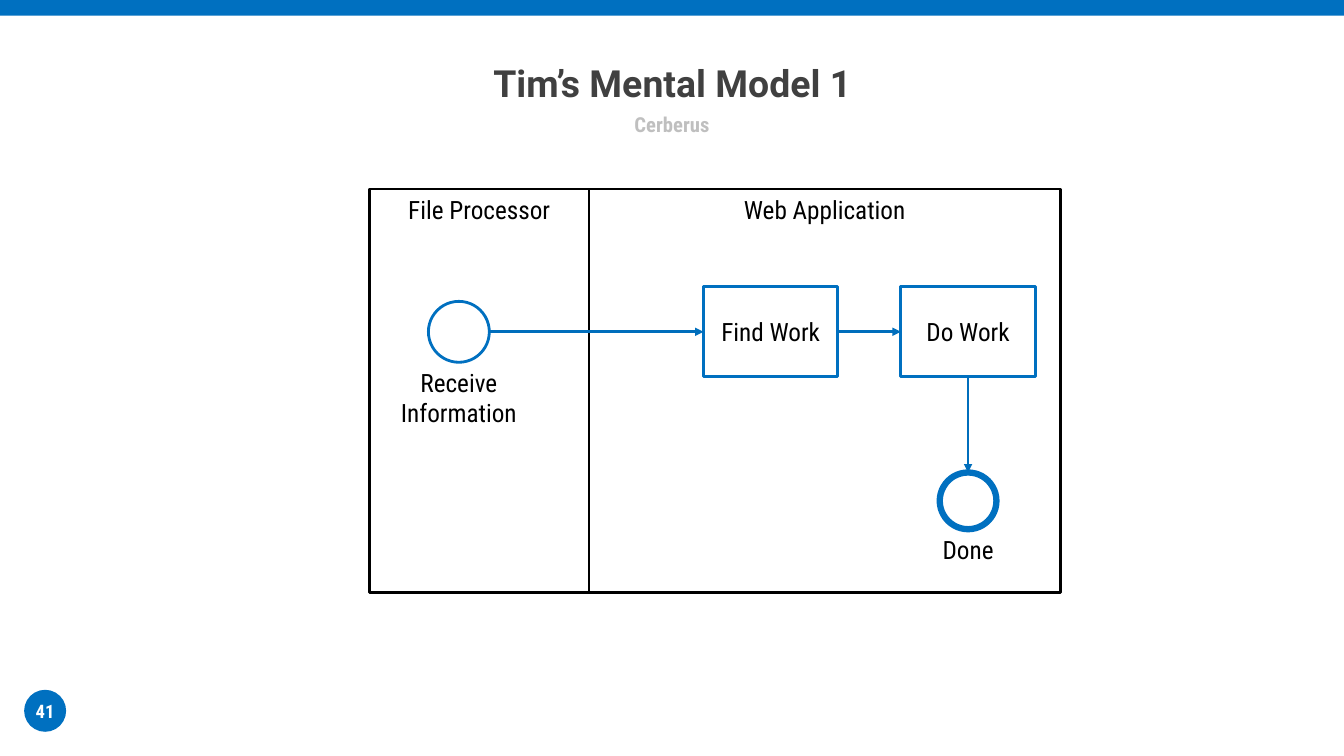
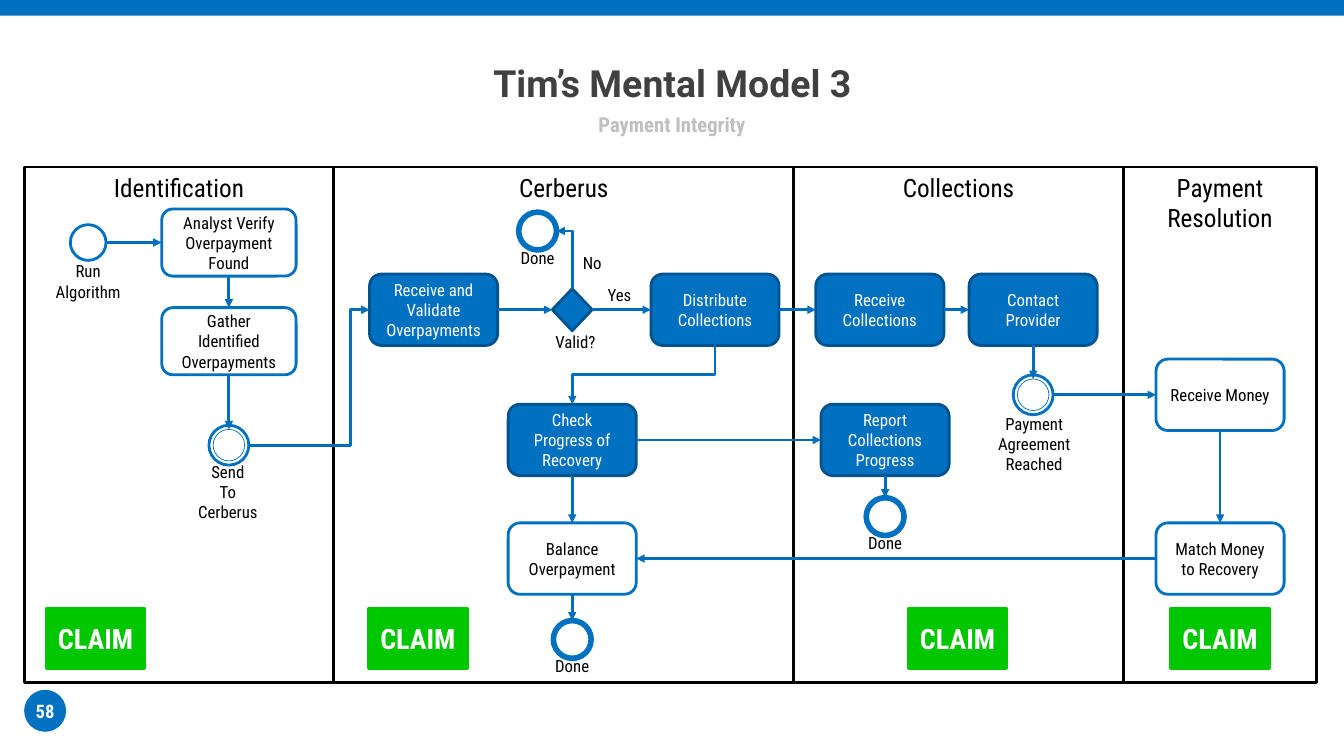
from dataclasses import dataclass

from lxml.etree import SubElement
from pptx import Presentation
from pptx.dml.color import RGBColor
from pptx.enum.shapes import MSO_CONNECTOR as LinkKind, MSO_SHAPE as Preset
from pptx.enum.text import MSO_ANCHOR as Anchor, PP_ALIGN as Align
from pptx.oxml.ns import qn
from pptx.util import Emu, Pt


@dataclass(frozen=True)
class Theme:
    blue: str = "0070C0"
    deep_blue: str = "00538E"
    arrow: str = "006EBC"
    green: str = "00C700"
    white: str = "FFFFFF"
    black: str = "000000"
    heading: str = "404040"
    muted: str = "BFBFBF"
    title_font: str = "Roboto"
    body_font: str = "Roboto Condensed"
    title_size: float = 26.7
    subtitle_size: float = 14.7
    number_size: float = 13.3
    large: int = 18
    small: int = 12
    claim_size: int = 20
    stroke: float = 2
    thin: float = 0.5


THEME = Theme()
EMU_PER_PX = 9525
TOP, LEFT, BOTTOM, RIGHT = range(4)
SIDE_OFFSETS = {TOP: (0.5, 0), LEFT: (0, 0.5), BOTTOM: (0.5, 1), RIGHT: (1, 0.5)}


def px(length):
    return Emu(round(length * EMU_PER_PX))


def rgb(color):
    return RGBColor.from_string(color)


def write(frame, lines, size, color, font=THEME.body_font, bold=False,
          anchor=Anchor.MIDDLE, wrap=True, margin=None):
    frame.word_wrap = wrap
    frame.vertical_anchor = anchor
    if margin is not None:
        frame.margin_left = frame.margin_right = px(margin)
        frame.margin_top = frame.margin_bottom = px(margin)
    for index, line in enumerate(lines):
        paragraph = frame.add_paragraph() if index else frame.paragraphs[0]
        paragraph.alignment = Align.CENTER
        run = paragraph.add_run()
        run.text = line
        run.font.name = font
        run.font.size = Pt(size)
        run.font.bold = bold
        run.font.color.rgb = rgb(color)


def place(slide, preset, left, top, width, height, fill=None, line=None,
          stroke=THEME.stroke):
    shape = slide.shapes.add_shape(preset, px(left), px(top), px(width), px(height))
    shape.shadow.inherit = False
    if fill:
        shape.fill.solid()
        shape.fill.fore_color.rgb = rgb(fill)
    else:
        shape.fill.background()
    if line:
        shape.line.color.rgb = rgb(line)
        shape.line.width = Pt(stroke)
    else:
        shape.line.fill.background()
    return shape


def centered(slide, preset, cx, cy, width, height, **style):
    return place(slide, preset, cx - width / 2, cy - height / 2, width, height, **style)


def titled_slide(deck, title, subtitle, number):
    slide = deck.slides.add_slide(deck.slide_layouts[5])
    place(slide, Preset.RECTANGLE, 0, 0, 1280, 15, fill=THEME.blue)
    badge = place(slide, Preset.OVAL, 23, 657, 40, 40, fill=THEME.blue)
    write(badge.text_frame, [number], THEME.number_size, THEME.white, bold=True,
          wrap=False, margin=0)
    heading = slide.shapes.title
    heading.left, heading.top, heading.width, heading.height = map(px, (246, 54, 789, 50))
    write(heading.text_frame, [title], THEME.title_size, THEME.heading,
          font=THEME.title_font, bold=True, wrap=False, margin=0)
    caption = slide.shapes.add_textbox(px(352), px(104), px(576), px(28))
    write(caption.text_frame, [subtitle], THEME.subtitle_size, THEME.muted,
          bold=True, wrap=False, margin=0)
    return slide


def lanes(slide, names, edges, top, height):
    for name, left, right in zip(names, edges, edges[1:]):
        lane = place(slide, Preset.RECTANGLE, left, top, right - left, height,
                     line=THEME.black)
        write(lane.text_frame, [name], THEME.large, THEME.black, anchor=Anchor.TOP)


def label(slide, cx, top, width, *lines, size=THEME.small):
    height = 10 + len(lines) * size * 1.6
    caption = slide.shapes.add_textbox(px(cx - width / 2), px(top), px(width), px(height))
    write(caption.text_frame, lines, size, THEME.black, anchor=Anchor.TOP, wrap=False)


def task(slide, cx, cy, text, width=122, height=68, preset=Preset.ROUNDED_RECTANGLE,
         size=THEME.small, filled=False):
    fill, line, color = ((THEME.blue, THEME.deep_blue, THEME.white) if filled
                         else (THEME.white, THEME.blue, THEME.black))
    step = centered(slide, preset, cx, cy, width, height, fill=fill, line=line)
    write(step.text_frame, [text], size, color)
    return step


def event(slide, cx, cy, diameter, stroke=THEME.stroke):
    return centered(slide, Preset.OVAL, cx, cy, diameter, diameter,
                    fill=THEME.white, line=THEME.blue, stroke=stroke)


def ring(slide, cx, cy):
    return event(slide, cx, cy, 38), event(slide, cx, cy, 30, THEME.thin)


def done(slide, cx, cy):
    end = event(slide, cx, cy, 36, 4)
    label(slide, cx, cy + 11, 52, "Done")
    return end


def claim(slide, cx):
    tag = centered(slide, Preset.RECTANGLE, cx, 608, 94, 58,
                   fill=THEME.green, line=THEME.green)
    write(tag.text_frame, ["CLAIM"], THEME.claim_size, THEME.white, bold=True)


def side_point(shape, side):
    across, down = SIDE_OFFSETS[side]
    return (round(shape.left + shape.width * across),
            round(shape.top + shape.height * down))


def style_arrow(link):
    link.line.color.rgb = rgb(THEME.arrow)
    link.line.width = Pt(THEME.stroke)
    properties = link._element.spPr
    SubElement(properties.find(qn("a:ln")), qn("a:tailEnd"), type="triangle")
    SubElement(properties, qn("a:effectLst"))


def arrow(slide, source, target, leave=RIGHT, enter=LEFT):
    link = slide.shapes.add_connector(
        LinkKind.STRAIGHT, *side_point(source, leave), *side_point(target, enter))
    if source.auto_shape_type != Preset.OVAL:
        link.begin_connect(source, leave)
    if target.auto_shape_type != Preset.OVAL:
        link.end_connect(target, enter)
    style_arrow(link)


def elbow(slide, source, leave, target, enter, rotation=0, flipped=False, bend=50000):
    (x1, y1), (x2, y2) = side_point(source, leave), side_point(target, enter)
    width, height = abs(x2 - x1), abs(y2 - y1)
    if rotation in (90, 270):
        width, height = height, width
    left, top = (x1 + x2 - width) // 2, (y1 + y2 - height) // 2
    start_y, end_y = (top + height, top) if flipped else (top, top + height)
    link = slide.shapes.add_connector(LinkKind.ELBOW, left, start_y, left + width, end_y)
    properties = link._element.spPr
    if rotation:
        properties.find(qn("a:xfrm")).set("rot", str(rotation * 60000))
    geometry = properties.find(qn("a:prstGeom"))
    if bend is None:
        geometry.set("prst", "bentConnector2")
    else:
        SubElement(geometry.find(qn("a:avLst")), qn("a:gd"),
                   name="adj1", fmla=f"val {bend}")
    style_arrow(link)


def first_model(deck):
    slide = titled_slide(deck, "Tim’s Mental Model 1", "Cerberus", "41")
    lanes(slide, ["File Processor", "Web Application"], [352, 561, 1010], 180, 384)

    receive = event(slide, 437, 316, 58)
    label(slide, 437, 345, 130, "Receive", "Information", size=THEME.large)
    find_work, do_work = (
        task(slide, cx, 316, text, 128, 86, Preset.RECTANGLE, THEME.large)
        for cx, text in ((734, "Find Work"), (922, "Do Work")))
    finish = event(slide, 922, 477, 54, 4.5)
    label(slide, 922, 504, 68, "Done", size=THEME.large)

    arrow(slide, receive, find_work)
    arrow(slide, find_work, do_work)
    arrow(slide, do_work, finish, BOTTOM, TOP)


def third_model(deck):
    slide = titled_slide(deck, "Tim’s Mental Model 3", "Payment Integrity", "58")
    lanes(slide, ["Identification", "Cerberus", "Collections", "Payment Resolution"],
          [23, 318, 756, 1070, 1254], 159, 491)

    run = event(slide, 84, 231, 34)
    label(slide, 84, 244, 82, "Run", "Algorithm")
    verify = task(slide, 218, 231, "Analyst Verify Overpayment Found", 128, 64)
    gather = task(slide, 218, 325, "Gather Identified Overpayments", 128, 64)
    send, send_core = ring(slide, 218, 424)
    label(slide, 217, 435, 76, "Send", "To", "Cerberus")

    validate = task(slide, 413, 295, "Receive and Validate Overpayments", filled=True)
    valid = centered(slide, Preset.DIAMOND, 545, 295, 38, 40,
                     fill=THEME.blue, line=THEME.deep_blue)
    rejected = done(slide, 512, 220)
    label(slide, 564, 236, 38, "No")
    label(slide, 548, 311, 58, "Valid?")
    label(slide, 590, 266, 42, "Yes")
    distribute = task(slide, 681, 295, "Distribute Collections", filled=True)
    check = task(slide, 545, 419, "Check Progress of Recovery", filled=True)
    balance = task(slide, 545, 532, "Balance Overpayment")
    balanced = done(slide, 545, 609)

    collect = task(slide, 838, 295, "Receive Collections", filled=True)
    contact = task(slide, 984, 295, "Contact Provider", filled=True)
    report = task(slide, 843, 419, "Report Collections Progress", filled=True)
    reported = done(slide, 843, 492)
    agreed, agreed_core = ring(slide, 984, 376)
    label(slide, 985, 389, 92, "Payment", "Agreement", "Reached")

    money = task(slide, 1162, 376, "Receive Money")
    match = task(slide, 1162, 532, "Match Money to Recovery")

    for source, target in ((run, verify), (validate, valid), (valid, distribute),
                           (distribute, collect), (collect, contact),
                           (check, report), (agreed, money)):
        arrow(slide, source, target)
    for source, target in ((verify, gather), (gather, send_core), (check, balance),
                           (balance, balanced), (report, reported),
                           (contact, agreed_core), (money, match)):
        arrow(slide, source, target, BOTTOM, TOP)
    arrow(slide, match, balance, LEFT, RIGHT)
    elbow(slide, send, RIGHT, validate, LEFT, flipped=True, bend=84200)
    elbow(slide, distribute, BOTTOM, check, TOP, rotation=90)
    elbow(slide, valid, TOP, rejected, RIGHT, rotation=270, flipped=True, bend=None)

    for cx in (91, 398, 912, 1162):
        claim(slide, cx)


def main():
    deck = Presentation()
    deck.slide_width, deck.slide_height = px(1280), px(720)
    first_model(deck)
    third_model(deck)
    deck.save("out.pptx")


if __name__ == "__main__":
    main()
